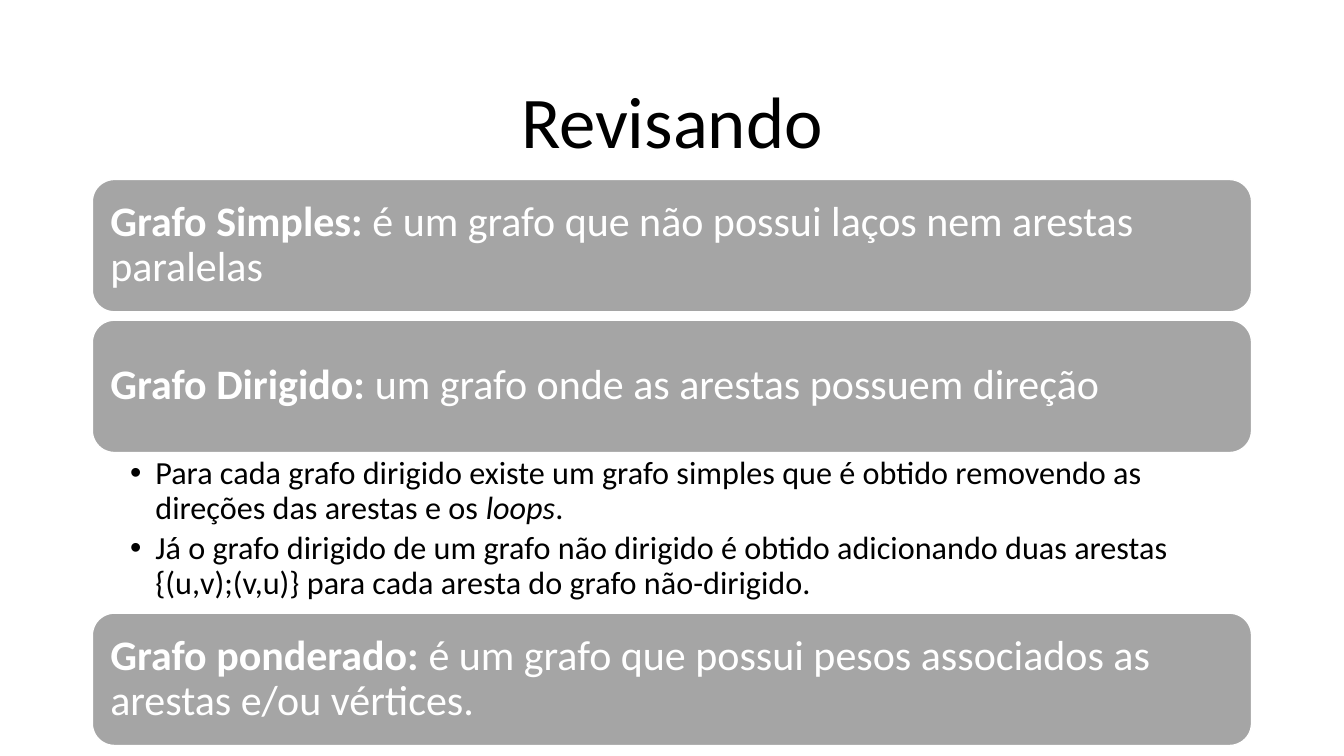
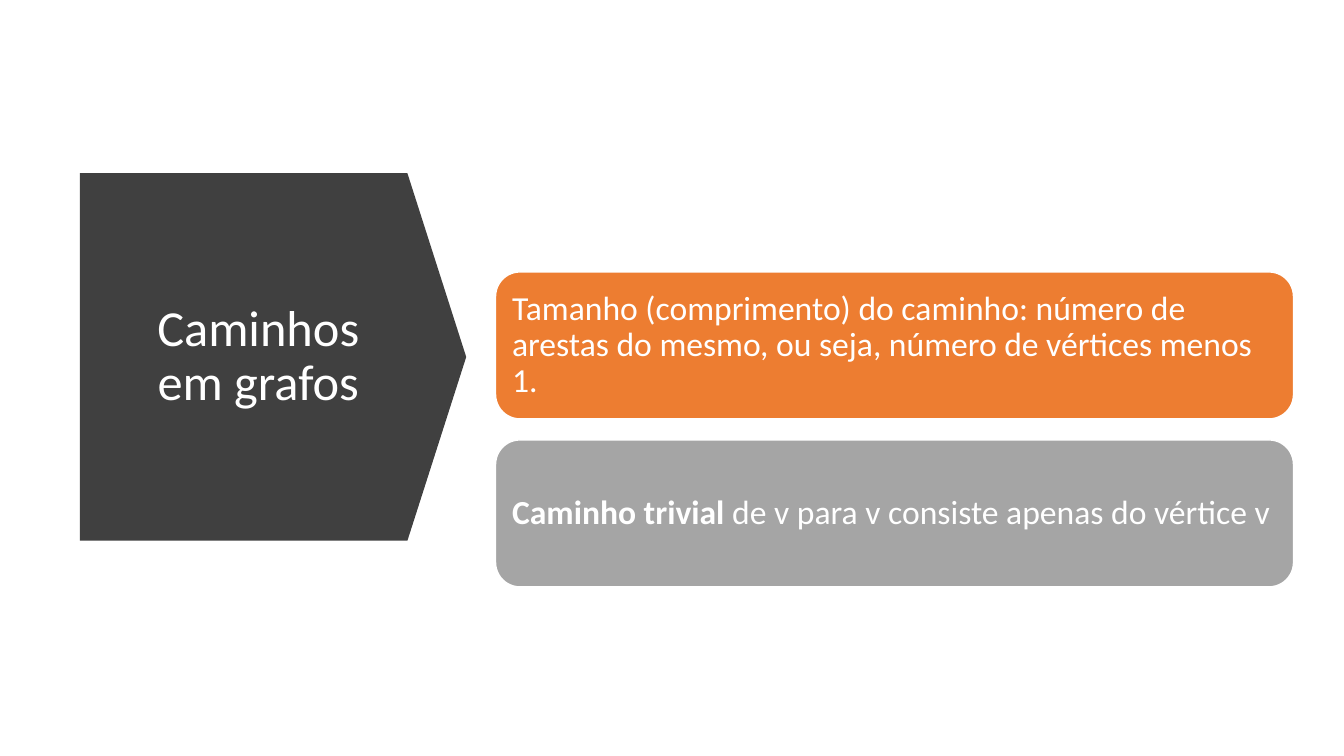
from lxml import etree
from pptx import Presentation
from pptx import util as u
from pptx.dml.color import RGBColor
from pptx.enum import shapes, text
from pptx.oxml import ns

BLACK = RGBColor(0x00, 0x00, 0x00)
WHITE = RGBColor(0xFF, 0xFF, 0xFF)
GRAY = RGBColor(0xA5, 0xA5, 0xA5)
ORANGE = RGBColor(0xED, 0x7D, 0x31)
CHARCOAL = RGBColor(0x40, 0x40, 0x40)
BOLD = {"bold": True}
ITALIC = {"italic": True}


def px(length):
    return u.Emu(length * 9525)


def assign(target, values):
    for name, value in values.items():
        setattr(target, name, value)


class Deck:
    FONT = "Calibri"
    LINE_SPACING = 0.9

    def __init__(self):
        self.prs = Presentation()
        assign(self.prs, {"slide_width": px(1280), "slide_height": px(720)})
        self.slide = None

    def new_slide(self):
        self.slide = self.prs.slides.add_slide(self.prs.slide_layouts[5])

    def frame(self, shape, insets, anchor=text.MSO_ANCHOR.MIDDLE):
        sides = ("margin_left", "margin_top", "margin_right", "margin_bottom")
        frame = shape.text_frame
        assign(frame, {"word_wrap": True, "auto_size": text.MSO_AUTO_SIZE.NONE,
                       "vertical_anchor": anchor})
        assign(frame, dict(zip(sides, map(px, insets))))
        return frame

    def add_runs(self, paragraph, runs, size, color, align=text.PP_ALIGN.LEFT):
        assign(paragraph, {"alignment": align, "line_spacing": self.LINE_SPACING})
        for words, style in runs:
            run = paragraph.add_run()
            run.text = words
            assign(run.font, {"name": self.FONT, "size": u.Pt(size), **style})
            run.font.color.rgb = color

    def title(self, words, box, size, color=BLACK):
        title = self.slide.shapes.title
        assign(title, dict(zip(("left", "top", "width", "height"), map(px, box))))
        frame = self.frame(title, (10, 5, 10, 5))
        self.add_runs(frame.paragraphs[0], [(words, {})], size, color, text.PP_ALIGN.CENTER)
        self.slide.shapes.element.append(title.element)

    def block(self, kind, box, fill):
        block = self.slide.shapes.add_shape(kind, *map(px, box))
        block.shadow.inherit = False
        block.fill.solid()
        block.fill.fore_color.rgb = fill
        block.line.fill.background()
        return block

    def card(self, runs, box, size, inset, fill=GRAY):
        card = self.block(shapes.MSO_SHAPE.ROUNDED_RECTANGLE, box, fill)
        card.line.color.rgb = WHITE
        card.line.width = u.Pt(1)
        frame = self.frame(card, [inset] * 4)
        self.add_runs(frame.paragraphs[0], runs, size, WHITE)

    def arrow(self, box, fill):
        arrow = self.block(shapes.MSO_SHAPE.PENTAGON, box, fill)
        arrow.adjustments[0] = 0.16

    def bullets(self, items, box, size):
        holder = self.slide.shapes.add_textbox(*map(px, box))
        frame = self.frame(holder, (36, 4, 22, 4), text.MSO_ANCHOR.TOP)
        for index, runs in enumerate(items):
            paragraph = frame.add_paragraph() if index else frame.paragraphs[0]
            properties = paragraph._p.get_or_add_pPr()
            properties.set("marL", str(px(24)))
            properties.set("indent", str(px(-24)))
            etree.SubElement(properties, ns.qn("a:buFont"), typeface="Arial")
            etree.SubElement(properties, ns.qn("a:buChar"), char="•")
            assign(paragraph, {"level": 1, "space_after": u.Pt(4)})
            self.add_runs(paragraph, runs, size, BLACK)


def review_slide(deck):
    deck.new_slide()
    deck.title("Revisando", (88, 59, 1104, 119), 52)
    left, top, width, height, gap, notes_height = 88, 171, 1104, 126, 8, 153
    dirigido_notes = [
        [("Para cada grafo dirigido existe um grafo simples que é obtido removendo as "
          "direções das arestas e os ", {}), ("loops", ITALIC), (".", {})],
        [("Já o grafo dirigido de um grafo não dirigido é obtido adicionando duas arestas "
          "{(u,v);(v,u)} para cada aresta do grafo não-dirigido.", {})],
    ]
    definitions = [
        ("Grafo Simples: ", "é um grafo que não possui laços nem arestas paralelas", []),
        ("Grafo Dirigido: ", "um grafo onde as arestas possuem direção", dirigido_notes),
        ("Grafo ponderado: ",
         "é um grafo que possui pesos associados as arestas e/ou vértices.", []),
    ]
    for term, meaning, notes in definitions:
        deck.card([(term, BOLD), (meaning, {})], (left, top, width, height), 30, 11)
        top += height
        if notes:
            deck.bullets(notes, (left, top, width, notes_height), 23)
        top += notes_height if notes else gap


def paths_slide(deck):
    deck.new_slide()
    deck.arrow((76, 165, 368, 350), CHARCOAL)
    deck.title("Caminhos em grafos", (108, 206, 276, 268), 36, WHITE)
    facts = [
        (ORANGE, [("Tamanho (comprimento) do caminho: número de arestas do mesmo, "
                   "ou seja, número de vértices menos 1.", {})]),
        (GRAY, [("Caminho trivial", BOLD),
                (" de v para v consiste apenas do vértice v", {})]),
    ]
    top, height, gap = 259, 140, 20
    for row, (fill, runs) in enumerate(facts):
        deck.card(runs, (472, top + row * (height + gap), 760, height), 24, 9, fill)


def main():
    deck = Deck()
    review_slide(deck)
    paths_slide(deck)
    deck.prs.save("out.pptx")


if __name__ == "__main__":
    main()
